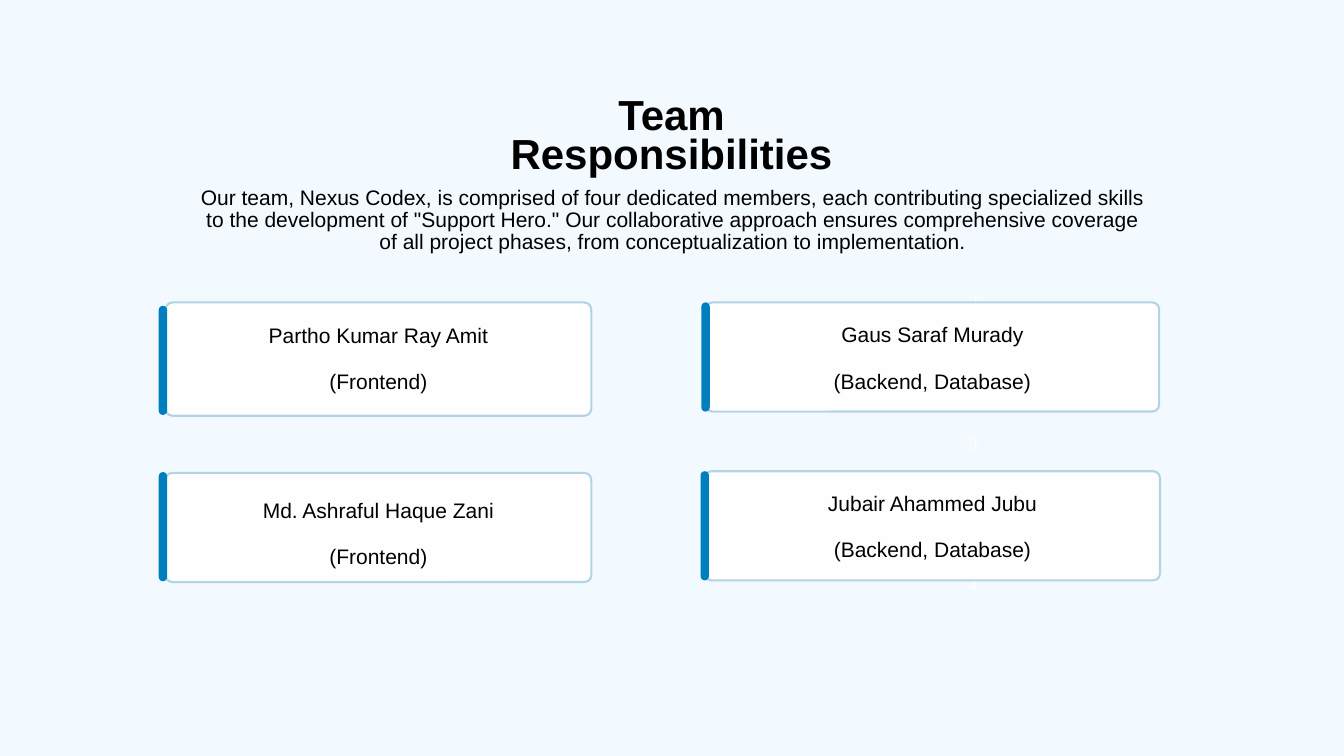
from lxml import etree
from pptx import Presentation
from pptx.dml.color import RGBColor
from pptx.enum.shapes import MSO_SHAPE
from pptx.enum.text import MSO_ANCHOR, PP_ALIGN
from pptx.oxml.ns import qn
from pptx.util import Inches, Pt

BLACK = RGBColor(0x00, 0x00, 0x00)
WHITE = RGBColor(0xFF, 0xFF, 0xFF)
SKY = RGBColor(0xF3, 0xFA, 0xFF)
PALE_BLUE = RGBColor(0xB2, 0xD4, 0xE5)
BLUE = RGBColor(0x00, 0x7E, 0xBD)


def write(shape, lines, size=18, color=BLACK, font="Arial", bold=False,
          align=PP_ALIGN.CENTER, spacing=(None,), gap=0, wrap=True,
          insets=(0, 0, 0, 0)):
    frame = shape.text_frame
    frame.word_wrap = wrap
    frame.vertical_anchor = MSO_ANCHOR.TOP
    frame.margin_left, frame.margin_top, frame.margin_right, frame.margin_bottom = (
        Inches(inset) for inset in insets)
    for index, (line, points) in enumerate(zip(lines, spacing)):
        para = frame.add_paragraph() if index else frame.paragraphs[0]
        para.alignment = align
        if points:
            para.line_spacing = Pt(points)
        if index:
            para.space_before = Pt(gap)
        span = para.add_run()
        span.text = line
        span.font.name = font
        span.font.size = Pt(size)
        span.font.bold = bold
        span.font.color.rgb = color


def add_panel(page, left, top, width, height, corner, fill):
    panel = page.shapes.add_shape(MSO_SHAPE.ROUNDED_RECTANGLE, Inches(left),
                                  Inches(top), Inches(width), Inches(height))
    panel.adjustments[0] = corner
    panel.shadow.inherit = False
    panel.fill.solid()
    panel.fill.fore_color.rgb = fill
    panel.line.fill.background()
    return panel


deck = Presentation()
deck.slide_width, deck.slide_height = Inches(16), Inches(9)
page = deck.slides.add_slide(deck.slide_layouts[6])
page.background.fill.solid()
page.background.fill.fore_color.rgb = SKY

# Title and introduction
title = page.shapes.add_textbox(Inches(6.06), Inches(1.2), Inches(3.87), Inches(0.46))
write(title, ["Team Responsibilities"], size=36, bold=True, spacing=(33,), wrap=False)
intro = page.shapes.add_textbox(Inches(2.35), Inches(2.23), Inches(11.31), Inches(0.8))
write(intro, ["Our team, Nexus Codex, is comprised of four dedicated members, each "
              "contributing specialized skills to the development of \"Support Hero.\" "
              "Our collaborative approach ensures comprehensive coverage of all project "
              "phases, from conceptualization to implementation."], spacing=(19,))

# Faint numerals behind the cards
for step, numeral in enumerate("234"):
    box = page.shapes.add_textbox(Inches(11.53), Inches(3.38 + 1.69 * step),
                                  Inches(0.2), Inches(0.25))
    write(box, [numeral], size=14, color=WHITE, font="Lato", align=PP_ALIGN.LEFT,
          spacing=(23,), wrap=False)

# Member cards: name, role, card left, top, width, height, text inset, bar left, top
members = [
    ("Partho Kumar Ray Amit", "(Frontend)", 1.97, 3.6, 5.07, 1.35, 0.28, 1.89, 3.64),
    ("Md. Ashraful Haque Zani", "(Frontend)", 1.97, 5.63, 5.07, 1.3, 0.34, 1.89, 5.62),
    ("Jubair Ahammed Jubu", "(Backend, Database)", 8.39, 5.61, 5.42, 1.3, 0.28, 8.34, 5.61),
    ("Gaus Saraf Murady", "(Backend, Database)", 8.4, 3.6, 5.4, 1.3, 0.28, 8.35, 3.6),
]
for name, role, left, top, width, height, inset, bar_left, bar_top in members:
    card = add_panel(page, left, top, width, height, 0.063, WHITE)
    card.line.color.rgb = PALE_BLUE
    card.line.width = Pt(1.8)
    tint = card.fill._xPr.find(qn("a:solidFill"))[0]
    etree.SubElement(tint, qn("a:alpha"), val="95000")
    write(card, [name, role], spacing=(16.5, None), gap=18,
          insets=(0.1, inset, 0.1, 0.05))
    add_panel(page, bar_left, bar_top, 0.1, 1.3, 0.5, BLUE)

deck.save("out.pptx")
